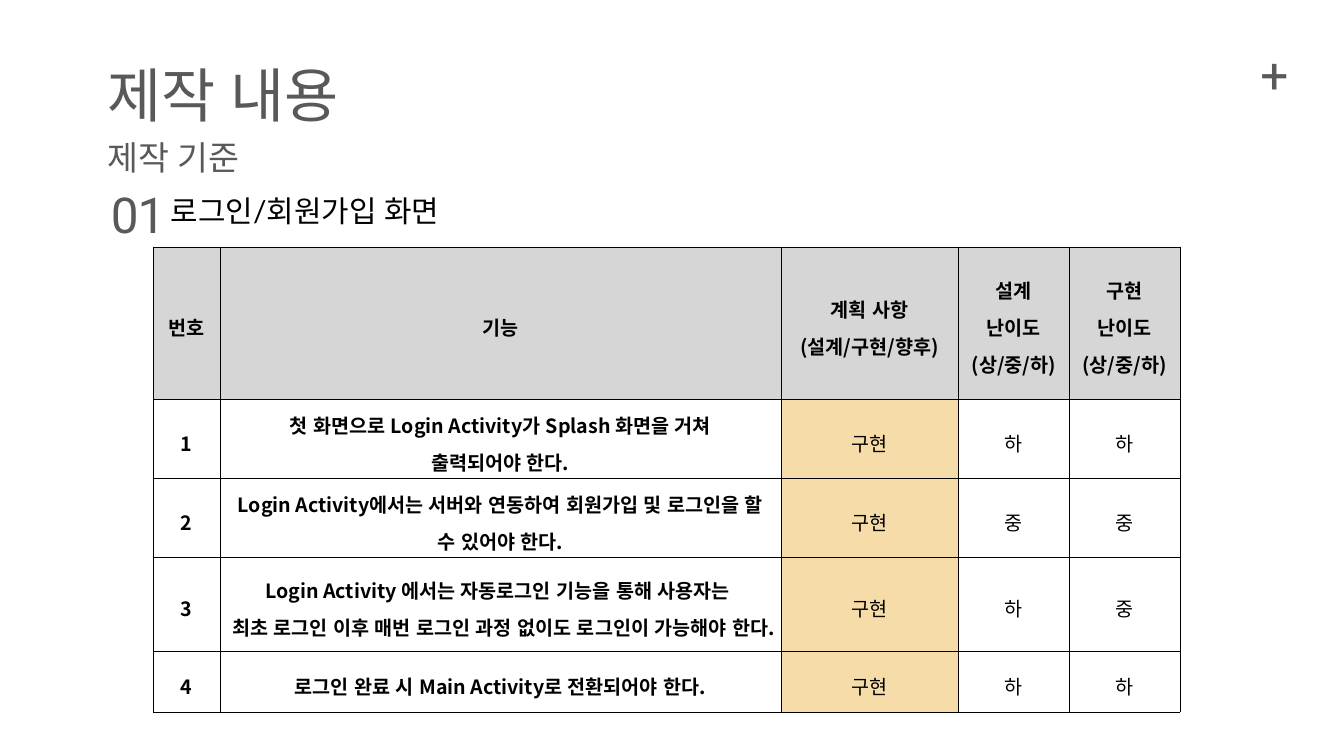
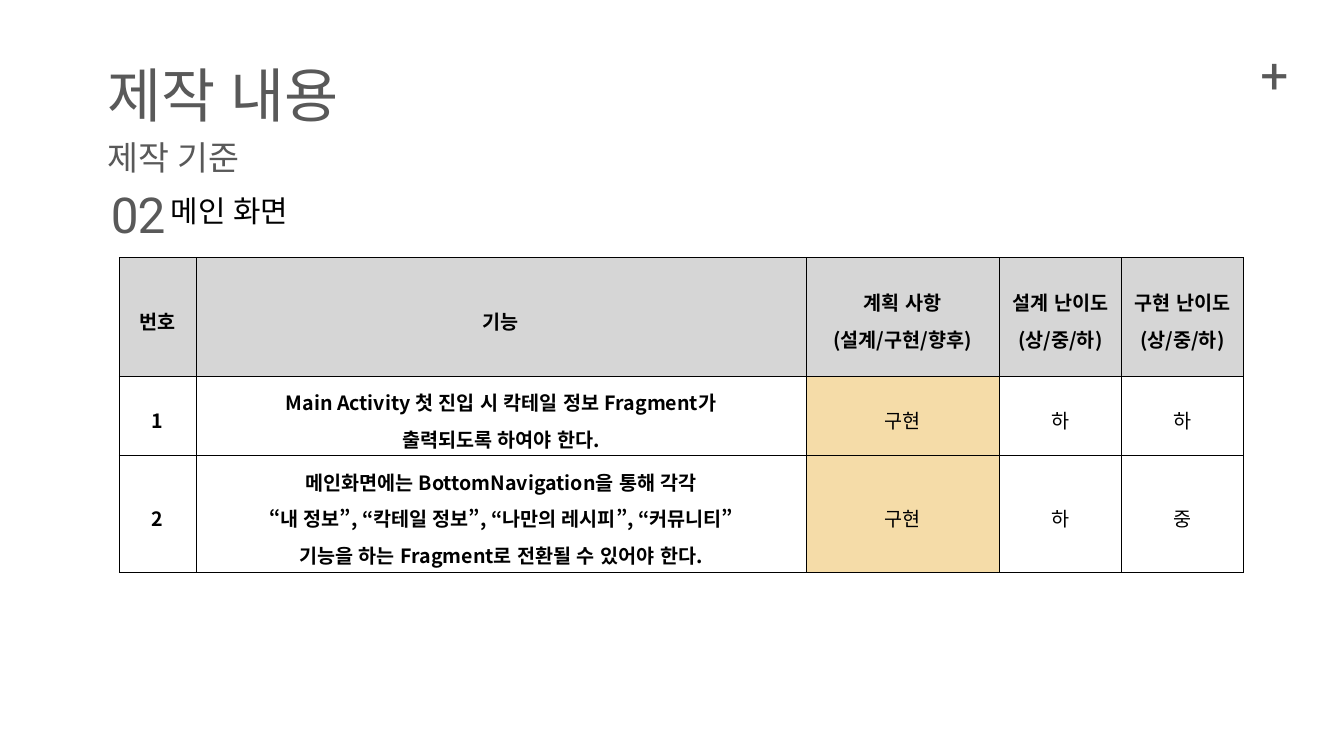
"""Build two slides that list the production criteria of an app's screens."""
import lxml.etree
import pptx
import pptx.dml.color
import pptx.enum.lang
import pptx.enum.text
import pptx.oxml.ns
import pptx.util

PX = 9144
GREY = pptx.dml.color.RGBColor(0x59, 0x59, 0x59)
BLACK = pptx.dml.color.RGBColor(0, 0, 0)
HEADER_FILL = pptx.dml.color.RGBColor(0xD6, 0xD6, 0xD6)
PLAN_FILL = pptx.dml.color.RGBColor(0xF5, 0xDC, 0xA8)
ALIGN = pptx.enum.text.PP_ALIGN
ANCHOR = pptx.enum.text.MSO_ANCHOR
PLAN_COLUMN = 2

HEADER = ["번호", "기능", "계획 사항\n(설계/구현/향후)",
          "설계 난이도\n(상/중/하)", "구현 난이도\n(상/중/하)"]
LOGIN_FEATURES = [
    ("첫 화면으로 Login Activity가 Splash 화면을 거쳐\n출력되어야 한다.", "구현", "하", "하"),
    ("Login Activity에서는 서버와 연동하여 회원가입 및 로그인을 할 수 있어야 한다.", "구현", "중", "중"),
    ("Login Activity 에서는 자동로그인 기능을 통해 사용자는 \n"
     "최초 로그인 이후 매번 로그인 과정 없이도 로그인이 가능해야 한다.", "구현", "하", "중"),
    ("로그인 완료 시 Main Activity로 전환되어야 한다.", "구현", "하", "하"),
]
MAIN_FEATURES = [
    ("Main Activity 첫 진입 시 칵테일 정보 Fragment가\n출력되도록 하여야 한다.", "구현", "하", "하"),
    ("메인화면에는 BottomNavigation을 통해 각각\n"
     "“내 정보”, “칵테일 정보”, “나만의 레시피”, “커뮤니티”\n"
     "기능을 하는 Fragment로 전환될 수 있어야 한다.", "구현", "하", "중"),
]


def px(length):
    """Turn px into EMU."""
    return pptx.util.Emu(length * PX)


def add_xml(parent, tag, **attributes):
    """Append a DrawingML element to its parent."""
    return lxml.etree.SubElement(parent, pptx.oxml.ns.qn(tag), attributes)


def write_text(frame, text, size, font, color=GREY, bold=False,
               align=ALIGN.JUSTIFY, line_spacing=1.0, spacing=None):
    """Fill a text frame with one paragraph for each line of text."""
    frame.word_wrap = True
    for index, line in enumerate(text.split("\n")):
        paragraph = frame.add_paragraph() if index else frame.paragraphs[0]
        paragraph.alignment = align
        paragraph.line_spacing = line_spacing
        paragraph.space_before = pptx.util.Pt(0)
        run = paragraph.add_run()
        run.text = line
        run.font.size = pptx.util.Pt(size)
        run.font.name = font
        run.font.bold = bold
        run.font.color.rgb = color
        run.font.language_id = pptx.enum.lang.MSO_LANGUAGE_ID.KOREAN
        properties = run.font._element
        add_xml(properties, "a:ea", typeface=font)
        if spacing is not None:
            properties.set("spc", str(spacing))


class Deck:
    """Hold the presentation, its style and the current slide."""

    def __init__(self):
        """Open a presentation of the right size."""
        self.presentation = pptx.Presentation()
        self.presentation.slide_width = px(2000)
        self.presentation.slide_height = px(1125)
        self.slide = None

    def add_slide(self, number, heading):
        """Start a slide with the shared titles and a numbered heading."""
        layout = self.presentation.slide_layouts[1]
        self.slide = self.presentation.slides.add_slide(layout)
        title, subtitle = self.slide.placeholders
        self.add_text("+", (1856, 60, 81, 137), size=53, font="Roboto", align=ALIGN.CENTER)
        self.place(title, "제작 내용", (150, 82, 1165, 168), size=63, font="Roboto")
        self.place(subtitle, "제작 기준", (150, 199, 976, 87), size=36, font="Lato")
        self.add_text(number, (155, 269, 142, 136), size=53, font="Roboto", spacing=-100)
        self.add_text(heading, (244, 282, 673, 136), size=32, font="Lato", color=BLACK)

    def place(self, placeholder, text, box, **style):
        """Move a placeholder and write plain text without a bullet in it."""
        placeholder.left, placeholder.top, placeholder.width, placeholder.height = map(px, box)
        frame = placeholder.text_frame
        frame.auto_size = pptx.enum.text.MSO_AUTO_SIZE.NONE
        frame.vertical_anchor = ANCHOR.TOP
        properties = frame.paragraphs[0]._p.get_or_add_pPr()
        properties.set("marL", "0")
        properties.set("indent", "0")
        add_xml(properties, "a:buNone")
        write_text(frame, text, **style)

    def add_text(self, text, box, **style):
        """Add a text box."""
        shape = self.slide.shapes.add_textbox(*map(px, box))
        write_text(shape.text_frame, text, **style)

    def add_table(self, features, position, widths, heights, margins):
        """Add the table of features with its header row."""
        rows = [HEADER] + [(str(number), *feature)
                           for number, feature in enumerate(features, 1)]
        box = (*position, sum(widths), sum(heights))
        table = self.slide.shapes.add_table(len(rows), len(HEADER), *map(px, box)).table
        table.first_row = table.horz_banding = False
        for column, width in zip(table.columns, widths):
            column.width = px(width)
        for row, height in zip(table.rows, heights):
            row.height = px(height)
        for row_index, row in enumerate(rows):
            for column_index, text in enumerate(row):
                fill = None
                if row_index == 0:
                    fill = HEADER_FILL
                elif column_index == PLAN_COLUMN:
                    fill = PLAN_FILL
                bold = row_index == 0 or column_index < PLAN_COLUMN
                self.format_cell(table.cell(row_index, column_index), text, fill, bold, margins)

    def format_cell(self, cell, text, fill, bold, margins):
        """Write a cell and set its margins, borders and fill."""
        side, edge = map(px, margins)
        cell.margin_left = cell.margin_right = side
        cell.margin_top = cell.margin_bottom = edge
        cell.vertical_anchor = ANCHOR.MIDDLE
        write_text(cell.text_frame, text, size=21, font="Noto Sans CJK KR", color=BLACK,
                   bold=bold, align=ALIGN.CENTER, line_spacing=1.3)
        properties = cell._tc.get_or_add_tcPr()
        for tag in ("a:lnL", "a:lnR", "a:lnT", "a:lnB"):
            line = add_xml(properties, tag, w=str(pptx.util.Pt(0.28)))
            add_xml(add_xml(line, "a:solidFill"), "a:srgbClr", val=str(BLACK))
        if fill is None:
            cell.fill.background()
        else:
            cell.fill.solid()
            cell.fill.fore_color.rgb = fill


def main():
    """Build and save both slides."""
    deck = Deck()
    deck.add_slide("01", "로그인/회원가입 화면")
    deck.add_table(LOGIN_FEATURES, (228, 367), (99, 835, 264, 165, 165),
                   (227, 118, 117, 140, 91), (15, 4))
    deck.add_slide("02", "메인 화면")
    deck.add_table(MAIN_FEATURES, (177, 383), (115, 907, 288, 182, 181),
                   (176, 119, 174), (18, 5))
    deck.presentation.save("out.pptx")


if __name__ == "__main__":
    main()
